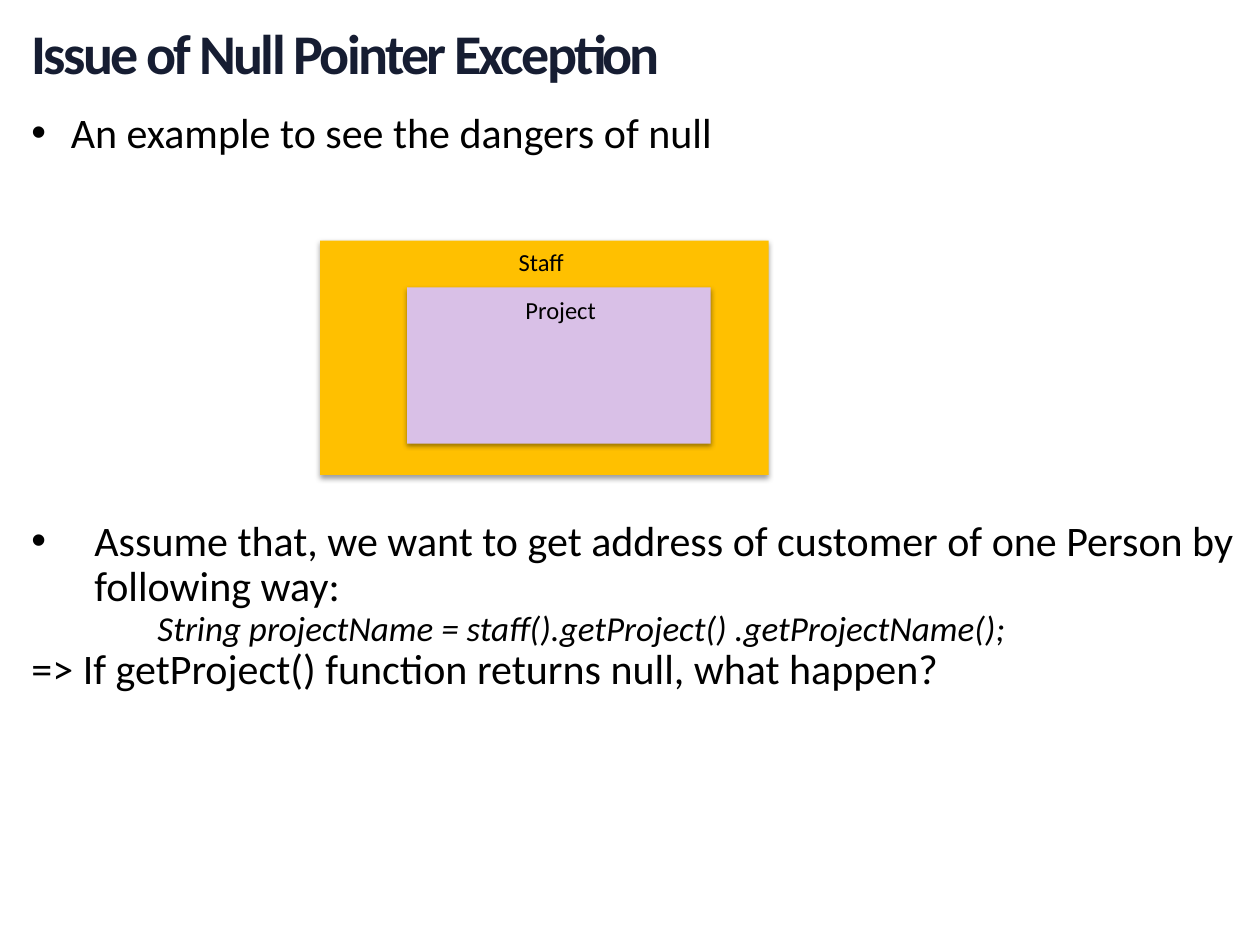
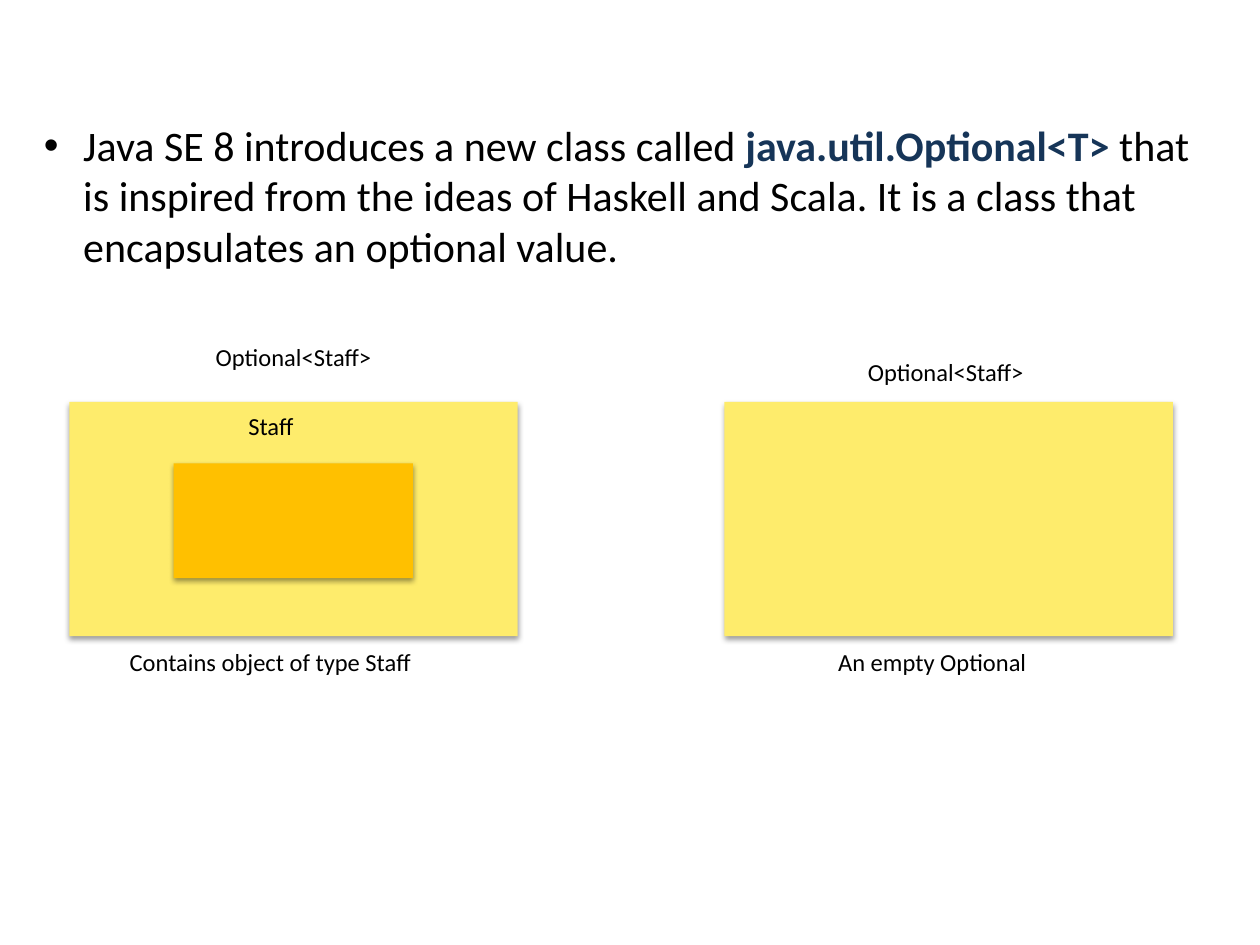
from lxml import etree
from pptx import Presentation
from pptx.dml.color import RGBColor
from pptx.enum import shapes, text
from pptx.oxml import ns
from pptx.util import Pt

FONT = "Calibri"
BLACK = "000000"
TITLE_NAVY = "161D32"
CLASS_BLUE = "163558"
STAFF_AMBER = "FFC000"
PROJECT_LILAC = "D9C0E7"
OPTIONAL_YELLOW = "FEEC6C"
BOX_SIZE = (256.3, 133.9)
LABEL_HEIGHT = 24.5


def color(hex_string):
    return RGBColor.from_string(hex_string)


def add_text_box(slide, left, top, width, height, inset=(0, 0)):
    frame = slide.shapes.add_textbox(Pt(left), Pt(top), Pt(width), Pt(height)).text_frame
    frame.word_wrap = True
    frame.margin_left = frame.margin_right = Pt(inset[0])
    frame.margin_top = frame.margin_bottom = Pt(inset[1])
    return frame


def style(font, size, hex_string=BLACK, bold=False, italic=False):
    font.name, font.size = FONT, Pt(size)
    font.bold, font.italic = bold, italic
    font.color.rgb = color(hex_string)


def indent(paragraph, left, bullet=False):
    """Indent a paragraph, with a hanging bullet if asked."""
    properties = paragraph._p.get_or_add_pPr()
    properties.set("marL", str(Pt(left)))
    if bullet:
        properties.set("indent", str(-Pt(left)))
        font = etree.SubElement(properties, ns.qn("a:buFont"))
        font.set("typeface", "Arial")
        etree.SubElement(properties, ns.qn("a:buChar")).set("char", "•")


def write(paragraph, words, size=24, left=0, bullet=False, italic=False, spacing=0.9):
    paragraph.text = words
    style(paragraph.font, size, italic=italic)
    paragraph.line_spacing = spacing
    indent(paragraph, left, bullet)


def add_title(slide, words):
    frame = add_text_box(slide, 18, 0, 672, 64)
    frame.vertical_anchor = text.MSO_ANCHOR.MIDDLE
    paragraph = frame.paragraphs[0]
    paragraph.line_spacing = 0.9
    run = paragraph.add_run()
    run.text = words
    style(run.font, 32, TITLE_NAVY, bold=True)
    run._r.get_or_add_rPr().set("spc", "-150")


def add_box(slide, left, top, width, height, fill):
    """Add a filled rectangle with a soft shadow below it."""
    box = slide.shapes.add_shape(
        shapes.MSO_SHAPE.RECTANGLE, Pt(left), Pt(top), Pt(width), Pt(height))
    box.fill.solid()
    box.fill.fore_color.rgb = color(fill)
    box.line.fill.background()
    box.shadow.inherit = False
    effects = box._element.spPr.find(ns.qn("a:effectLst"))
    shadow = etree.SubElement(effects, ns.qn("a:outerShdw"), blurRad=str(Pt(3.1)),
                              dist=str(Pt(1.6)), dir="5400000", rotWithShape="0")
    tint = etree.SubElement(shadow, ns.qn("a:srgbClr"), val=BLACK)
    etree.SubElement(tint, ns.qn("a:alpha"), val="38000")


def add_label(slide, words, left, top, width):
    frame = add_text_box(slide, left, top, width, LABEL_HEIGHT, (7.2, 3.6))
    frame.vertical_anchor = text.MSO_ANCHOR.MIDDLE
    paragraph = frame.paragraphs[0]
    write(paragraph, words, size=14, spacing=1)
    paragraph.alignment = text.PP_ALIGN.CENTER


def build_null_pointer(slide):
    intro = add_text_box(slide, 18, 64, 690, 30)
    write(intro.paragraphs[0], "An example to see the dangers of null", left=22.5, bullet=True)
    add_title(slide, "Issue of Null Pointer Exception")

    add_box(slide, 182.9, 137.5, *BOX_SIZE, STAFF_AMBER)
    add_box(slide, 232.6, 164.2, 173.5, 89.3, PROJECT_LILAC)
    add_label(slide, "Project", 247.7, 165, 145.4)
    add_label(slide, "Staff", 222.5, 137.5, 173.5)

    question = add_text_box(slide, 18, 297.2, 690, 110)
    write(question.paragraphs[0],
          "Assume that, we want to get address of customer of one Person by following way:",
          left=36, bullet=True)
    write(question.add_paragraph(),
          "String projectName = staff().getProject() .getProjectName();",
          size=20, left=72, italic=True)
    write(question.add_paragraph(), "=> If getProject() function returns null, what happen?")


def build_optional(slide):
    frame = add_text_box(slide, 18, 64.8, 684, 100, (7.2, 3.6))
    paragraph = frame.paragraphs[0]
    indent(paragraph, 22.5, bullet=True)
    for words, hex_string, bold in (
            ("Java SE 8 introduces a new class called ", BLACK, False),
            ("java.util.Optional<T> ", CLASS_BLUE, True),
            ("that is inspired from the ideas of Haskell and Scala. "
             "It is a class that encapsulates an optional value.", BLACK, False)):
        run = paragraph.add_run()
        run.text = words
        style(run.font, 24, hex_string, bold)

    for left in (39.6, 414):
        add_box(slide, left, 229.7, *BOX_SIZE, OPTIONAL_YELLOW)
    add_box(slide, 99.2, 264.8, 136.8, 65.5, STAFF_AMBER)

    for label in (("Optional<Staff>", 39.6, 191.5, 256.3),
                  ("Staff", 90, 231.1, 129.6),
                  ("Optional<Staff>", 421.2, 200.2, 238.3),
                  ("Contains object of type Staff", 38.2, 365.8, 232.6),
                  ("An empty Optional", 404.6, 365.8, 256.3)):
        add_label(slide, *label)


def main():
    presentation = Presentation()
    presentation.slide_width, presentation.slide_height = Pt(720), Pt(540)
    blank = presentation.slide_layouts[6]
    for build in (build_null_pointer, build_optional):
        build(presentation.slides.add_slide(blank))
    presentation.save("out.pptx")


if __name__ == "__main__":
    main()
